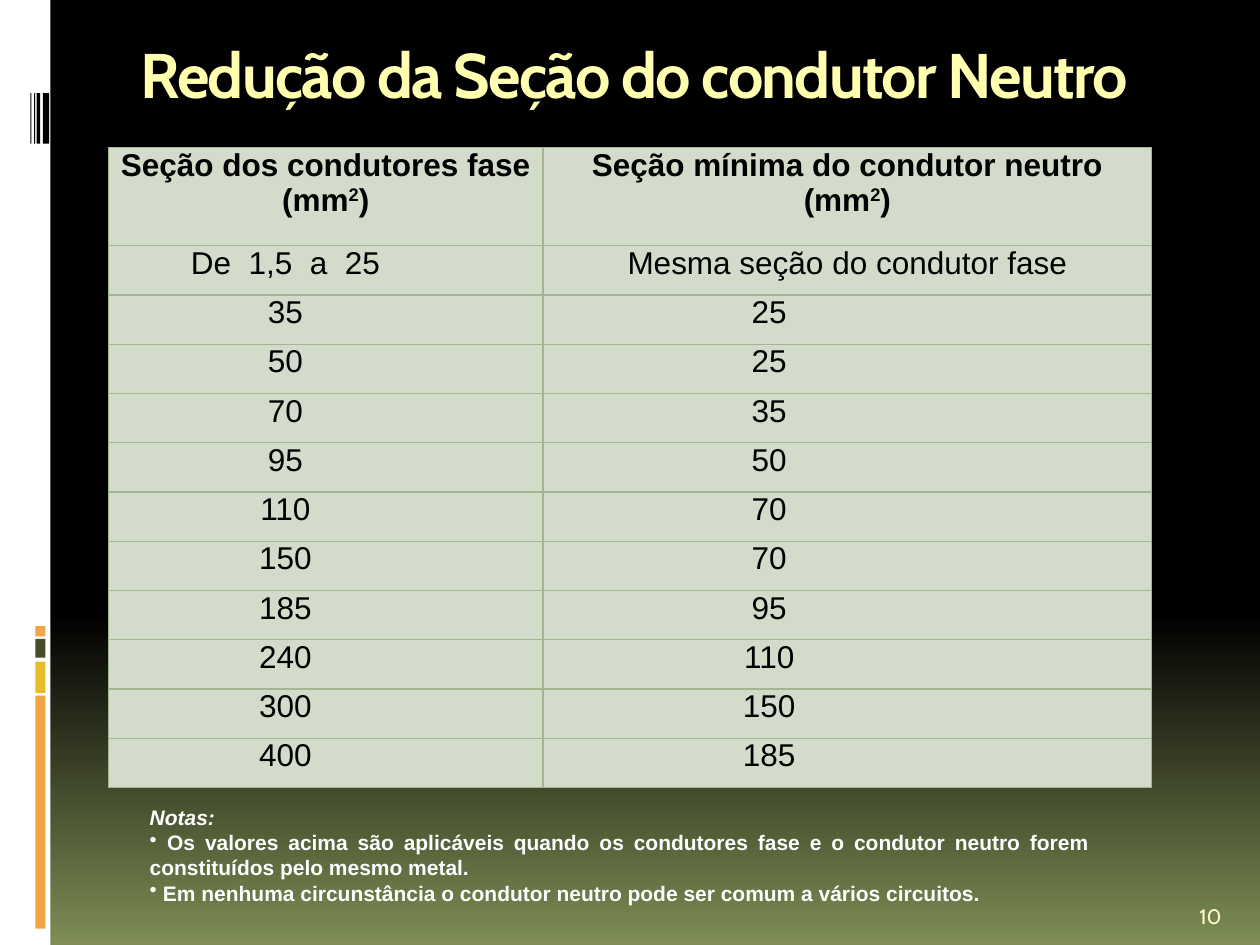
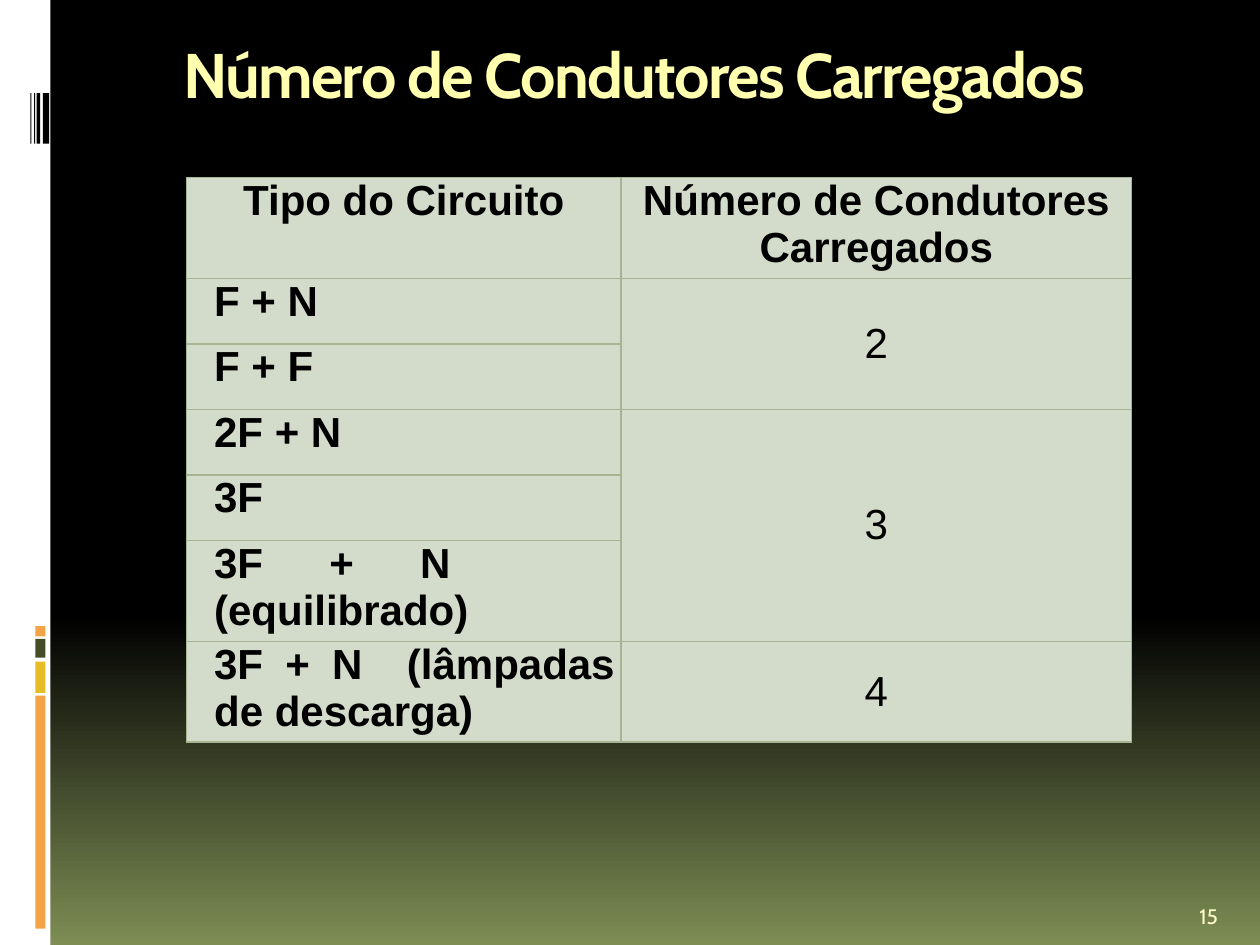
from dataclasses import dataclass
from typing import NamedTuple

from lxml.etree import SubElement
from pptx import Presentation
from pptx.dml.color import RGBColor as RGB
from pptx.enum.shapes import MSO_SHAPE as Shape
from pptx.enum.text import MSO_ANCHOR as Anchor, MSO_AUTO_SIZE as AutoSize, PP_ALIGN as Align
from pptx.oxml.ns import qn
from pptx.util import Emu, Inches, Pt

WIDTH, HEIGHT = Inches(10), Inches(7.5)
COLS, ROWS = 100, 75


@dataclass(frozen=True)
class Theme:
    """Colours, fonts and type sizes shared by the slides."""
    black: str = "000000"
    white: str = "FFFFFF"
    olive: str = "7D8D54"
    orange: str = "F3A447"
    gold: str = "E7BC29"
    moss: str = "444D26"
    title: str = "FFFFAF"
    number: str = "FEFAC9"
    cell: str = "D3DBCB"
    border: str = "A5B592"
    border_pt: float = 0.94
    head_font: str = "Cabin"
    body_font: str = "Arial"
    title_pt: int = 36
    small_pt: int = 12


class Box(NamedTuple):
    """A rectangle in grid columns and rows."""
    x: float
    y: float
    w: float
    h: float


class Bar(NamedTuple):
    """A plain filled rectangle of the side band."""
    box: Box
    color: str


class Style(NamedTuple):
    """The look of a run of text."""
    font: str
    size: int
    color: str
    bold: bool = False
    italic: bool = False


class Cell(NamedTuple):
    """A table cell with its paragraphs, insets and row span."""
    paragraphs: tuple[str, ...]
    bold: bool = False
    align: Align = Align.CENTER
    anchor: Anchor = Anchor.TOP
    left: float = 0.5
    right: float = 0.5
    span: int = 1


class Grid(NamedTuple):
    """A table with its place, column widths, row heights and text size."""
    x: float
    y: float
    widths: tuple[float, ...]
    heights: tuple[float, ...]
    size: int
    cells: list[tuple[Cell | None, ...]]


T = Theme()
SQUARED = "²"
STRIPES = [(3.4, 0.5), (2.9, 0.3), (2.7, 0.1), (2.4, 0.1)]
BLOCKS = [(55.2, 18.5, T.orange), (52.5, 2.5, T.gold), (50.7, 1.5, T.moss), (49.7, 0.8, T.orange)]
BAND = [
    Bar(Box(0, 0, 4, ROWS), T.white),
    *(Bar(Box(2.8, y, 0.8, h), color) for y, h, color in BLOCKS),
    *(Bar(Box(x, 7.4, w, 4), T.black) for x, w in STRIPES),
]
SECTIONS = [
    ("35", "25"), ("50", "25"), ("70", "35"), ("95", "50"), ("110", "70"),
    ("150", "70"), ("185", "95"), ("240", "110"), ("300", "150"), ("400", "185"),
]
NOTES = [
    " Os valores acima são aplicáveis quando os condutores fase e o condutor neutro "
    "forem constituídos pelo mesmo metal.",
    " Em nenhuma circunstância o condutor neutro pode ser comum a vários circuitos.",
]


def col(n: float) -> Emu:
    """Length of n grid columns."""
    return Emu(round(WIDTH * n / COLS))


def row(n: float) -> Emu:
    """Length of n grid rows."""
    return Emu(round(HEIGHT * n / ROWS))


def place(box: Box) -> tuple[Emu, Emu, Emu, Emu]:
    """Left, top, width and height of a box."""
    return col(box.x), row(box.y), col(box.w), row(box.h)


def add_run(p, text: str, style: Style):
    """Add one formatted run to a paragraph."""
    r = p.add_run()
    r.text = text
    f = r.font
    f.name, f.size, f.bold, f.italic = style.font, Pt(style.size), style.bold, style.italic
    f.color.rgb = RGB.from_string(style.color)
    return r


def add_text(p, text: str, style: Style) -> None:
    """Add text run by run, raising the squared sign as a superscript."""
    before, mark, after = text.partition(SQUARED)
    add_run(p, before, style)
    if mark:
        add_run(p, "2", style).font._element.set("baseline", "30000")
        add_run(p, after, style)


def add_band(slide) -> None:
    """Draw the side band."""
    for bar in BAND:
        sp = slide.shapes.add_shape(Shape.RECTANGLE, *place(bar.box))
        sp.shadow.inherit = False
        sp.fill.solid()
        sp.fill.fore_color.rgb = RGB.from_string(bar.color)
        sp.line.fill.background()


def add_box(slide, box: Box, anchor: Anchor):
    """Add a wrapping text box and give its text frame."""
    tf = slide.shapes.add_textbox(*place(box)).text_frame
    tf.word_wrap = True
    tf.vertical_anchor = anchor
    return tf


def add_slide(prs, title: str, title_rows: float, number: str):
    """Add a slide with band, title and number."""
    slide = prs.slides.add_slide(prs.slide_layouts[5])
    add_band(slide)
    sp = slide.shapes.title
    sp.left, sp.top, sp.width, sp.height = place(Box(5.5, 2.3, 89.7, title_rows))
    tf = sp.text_frame
    tf.auto_size = AutoSize.NONE
    tf.vertical_anchor = Anchor.TOP
    p = tf.paragraphs[0]
    p.alignment = Align.CENTER
    r = add_run(p, title, Style(T.head_font, T.title_pt, T.title, bold=True))
    r.font._element.set("spc", "-100")
    tf = add_box(slide, Box(94.2, 70.2, 5, 4), Anchor.BOTTOM)
    add_run(tf.paragraphs[0], number, Style(T.head_font, T.small_pt, T.number))
    return slide


def paint_cell(cell) -> None:
    """Give a cell its borders and fill."""
    tc_pr = cell._tc.get_or_add_tcPr()
    for side in ("lnL", "lnR", "lnT", "lnB"):
        ln = SubElement(tc_pr, qn(f"a:{side}"), w=str(Pt(T.border_pt)))
        SubElement(SubElement(ln, qn("a:solidFill")), qn("a:srgbClr"), val=T.border)
    cell.fill.solid()
    cell.fill.fore_color.rgb = RGB.from_string(T.cell)


def fill_cell(cell, content: Cell, size: int) -> None:
    """Write a cell's paragraphs."""
    cell.margin_left, cell.margin_right = col(content.left), col(content.right)
    cell.margin_top = cell.margin_bottom = 0
    cell.vertical_anchor = content.anchor
    tf = cell.text_frame
    for i, text in enumerate(content.paragraphs):
        p = tf.add_paragraph() if i else tf.paragraphs[0]
        p.alignment = content.align
        add_text(p, text, Style(T.body_font, size, T.black, content.bold))


def add_grid(slide, grid: Grid) -> None:
    """Draw a table."""
    box = Box(grid.x, grid.y, sum(grid.widths), sum(grid.heights))
    table = slide.shapes.add_table(len(grid.heights), len(grid.widths), *place(box)).table
    table.first_row = table.horz_banding = False
    for column, width in zip(table.columns, grid.widths):
        column.width = col(width)
    for line, height in zip(table.rows, grid.heights):
        line.height = row(height)
    for i, contents in enumerate(grid.cells):
        for j, content in enumerate(contents):
            cell = table.cell(i, j)
            paint_cell(cell)
            if content:
                fill_cell(cell, content, grid.size)
                if content.span > 1:
                    cell.merge(table.cell(i + content.span - 1, j))


def add_notes(slide) -> None:
    """Write the bulleted remarks under the table."""
    tf = add_box(slide, Box(10.9, 63.3, 76.6, 9.1), Anchor.MIDDLE)
    p = tf.paragraphs[0]
    p.alignment = Align.JUSTIFY
    add_run(p, "Notas:", Style(T.body_font, T.small_pt, T.white, bold=True, italic=True))
    for note in NOTES:
        p = tf.add_paragraph()
        p.alignment = Align.JUSTIFY
        SubElement(p._p.get_or_add_pPr(), qn("a:buChar"), char="•")
        add_run(p, note, Style(T.body_font, T.small_pt, T.white, bold=True))


def neutral_grid() -> Grid:
    """Table of neutral conductor sections."""
    def phase(text: str) -> Cell:
        """A phase section, set left of the middle."""
        return Cell((text,), right=6.9)

    cells = [
        (Cell(("Seção dos condutores fase", "(mm²)"), bold=True),
         Cell(("Seção mínima do condutor neutro", "(mm²)"), bold=True)),
        (phase("De  1,5  a  25"), Cell(("Mesma seção do condutor fase",))),
        *((phase(a), Cell((b,), right=12.9)) for a, b in SECTIONS),
    ]
    return Grid(8.6, 11.7, (34.5, 48.3), (7.8, *[3.91] * 11), 18, cells)


def loaded_grid() -> Grid:
    """Table of loaded conductors by circuit type."""
    def circuit(text: str, right: float = 0.5) -> Cell:
        """A circuit type, justified and indented."""
        return Cell((text,), bold=True, align=Align.JUSTIFY, left=2.2, right=right)

    def count(text: str, span: int = 1) -> Cell:
        """A number of conductors for one or more circuits."""
        return Cell((text,), anchor=Anchor.MIDDLE, span=span)

    cells = [
        (Cell(("Tipo do Circuito",), bold=True),
         Cell(("Número de Condutores Carregados",), bold=True)),
        (circuit("F + N"), count("2", 2)),
        (circuit("F + F"), None),
        (circuit("2F + N"), count("3", 3)),
        (circuit("3F"), None),
        (circuit("3F + N  (equilibrado)", right=8.3), None),
        (circuit("3F + N  (lâmpadas de descarga)"), count("4")),
    ]
    return Grid(14.8, 14.1, (34.5, 40.5), (*[5.2] * 6, 5.6), 24, cells)


def main() -> None:
    """Build and save the presentation."""
    prs = Presentation()
    prs.slide_width, prs.slide_height = WIDTH, HEIGHT
    fill = prs.slide_master.background.fill
    fill.gradient()
    fill.gradient_angle = 270
    for stop, position, color in zip(fill.gradient_stops, (0.65, 1), (T.black, T.olive)):
        stop.position = position
        stop.color.rgb = RGB.from_string(color)

    slide = add_slide(prs, "Redução da Seção do condutor Neutro", 7.8, "10")
    add_grid(slide, neutral_grid())
    add_notes(slide)

    slide = add_slide(prs, "Número de Condutores Carregados", 14.8, "15")
    add_grid(slide, loaded_grid())
    prs.save("out.pptx")


if __name__ == "__main__":
    main()
